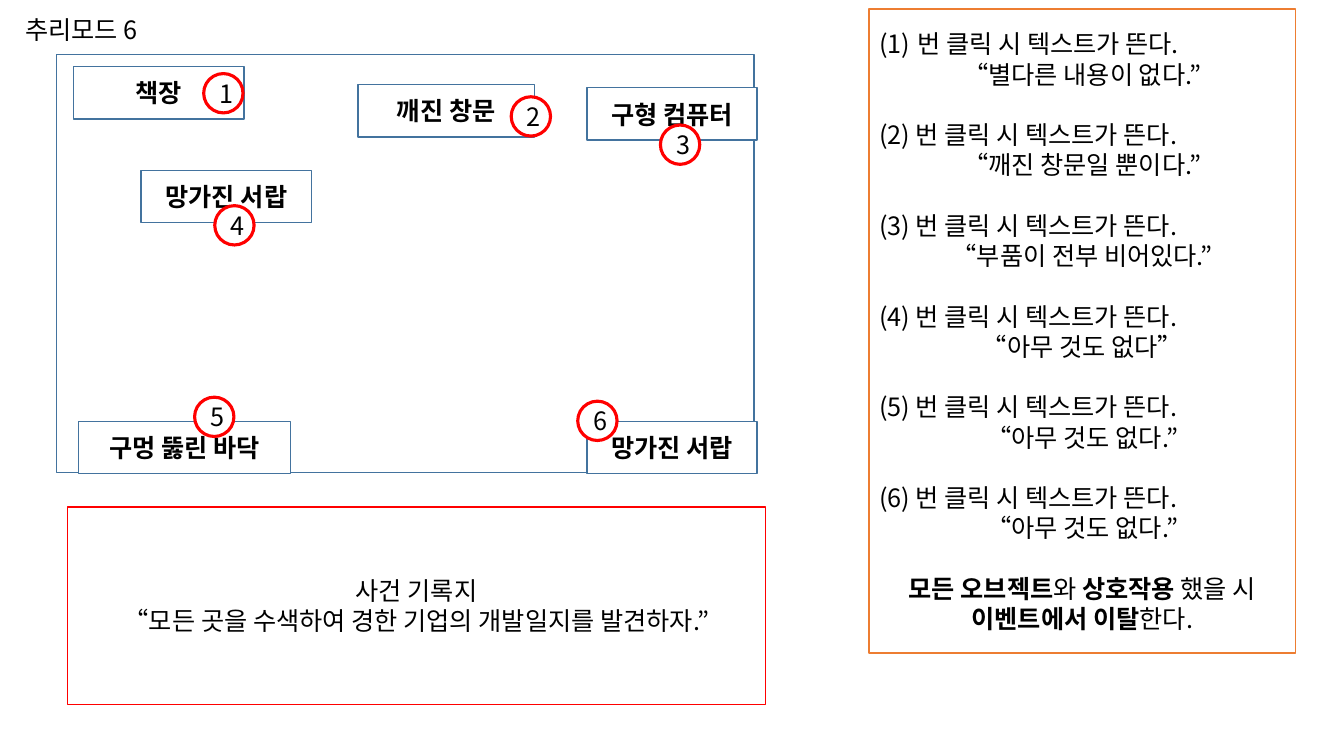
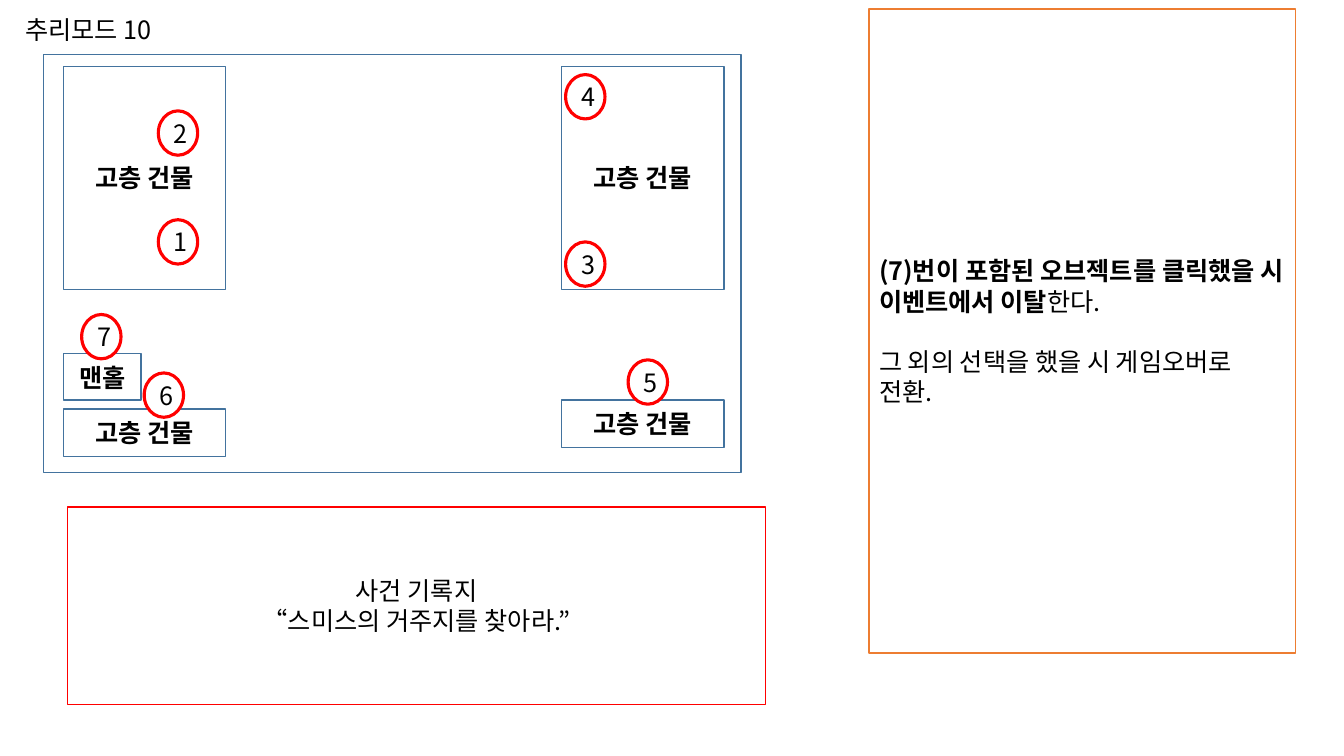
from lxml import etree
from pptx import Presentation
from pptx.dml.color import RGBColor
from pptx.enum.shapes import MSO_SHAPE
from pptx.enum.text import MSO_ANCHOR, MSO_AUTO_SIZE, PP_ALIGN
from pptx.oxml.ns import qn
from pptx.util import Pt

RECT, OVAL = MSO_SHAPE.RECTANGLE, MSO_SHAPE.OVAL
LEFT, CENTER = PP_ALIGN.LEFT, PP_ALIGN.CENTER
MIDDLE, NO_FIT = MSO_ANCHOR.MIDDLE, MSO_AUTO_SIZE.NONE
TITLE_ONLY = 5

PX = 9144  # EMU per px, 100 px to the inch
FONT, SIZE, LINE = "Noto Sans CJK KR", 18, 21.6
COLORS = {"paper": "FFFFFF", "ink": "000000", "object": "43739E",
          "panel": "ED7D31", "alert": "FF0000"}

# Places shared by the slides: left, top, width, height
TITLE_AT = (15, 9, 323, 40)
PANEL_AT = (862, 9, 423, 639)
RECORD_AT = (67, 503, 692, 196)
FRAME_TOP, FRAME_W, FRAME_H = 54, 692, 415
MARK_W = 39

# Paragraph: (runs, alignment, gap before, numbered); run: (text, bold)
REPLIES = ["“별다른 내용이 없다.”", "“깨진 창문일 뿐이다.”", "“부품이 전부 비어있다.”",
           "“아무 것도 없다”", "“아무 것도 없다.”", "“아무 것도 없다.”"]
CLICK = "번 클릭 시 텍스트가 뜬다."


def click_rules():
    paras = []
    for n, reply in enumerate(REPLIES, 1):
        first = n == 1
        text = CLICK if first else f"({n}) {CLICK}"
        paras += [([(text, False)], LEFT, not first, first),
                  ([(reply, False)], CENTER, False, False)]
    return paras


SLIDES = [
    {"title": "추리모드 6", "frame_left": 56, "mark_h": 39,
     "goal": "“모든 곳을 수색하여 경한 기업의 개발일지를 발견하자.”",
     "objects": [("깨진 창문", 355, 84, 175, 52), ("구멍 뚫린 바닥", 78, 418, 210, 52),
                 ("망가진 서랍", 582, 418, 169, 52), ("망가진 서랍", 140, 169, 169, 52),
                 ("구형 컴퓨터", 582, 87, 169, 52), ("책장", 73, 66, 169, 52)],
     "marks": [(202, 73), (507, 96), (655, 124), (213, 204), (193, 394), (573, 398)],
     "rules": click_rules() + [
         ([("모든 오브젝트", True), ("와 ", False), ("상호작용", True), (" 했을 시", False)],
          CENTER, True, False),
         ([("이벤트에서 이탈", True), ("한다.", False)], CENTER, False, False)]},
    {"title": "추리모드 10", "frame_left": 43, "mark_h": 44,
     "goal": "“스미스의 거주지를 찾아라.”",
     "objects": [("고층 건물", 557, 66, 161, 221), ("고층 건물", 63, 66, 161, 221),
                 ("고층 건물", 63, 406, 161, 47), ("고층 건물", 557, 397, 161, 47),
                 ("맨홀", 63, 351, 77, 46)],
     "marks": [(157, 218), (157, 110), (561, 240), (561, 74), (623, 357), (143, 370),
               (81, 312)],
     "rules": [
         ([("(7)번이 포함된 오브젝트를 클릭했을 시", True)], LEFT, False, False),
         ([("이벤트에서 이탈", True), ("한다.", False)], LEFT, False, False),
         ([("그 외의 선택을 했을 시 게임오버로", False)], LEFT, True, False),
         ([("전환.", False)], LEFT, False, False)]},
]


def color(name):
    return RGBColor.from_string(COLORS[name])


def number(p):
    """Give the paragraph an automatic (1) with a hanging indent."""
    pPr = p._p.get_or_add_pPr()
    pPr.set("marL", str(38 * PX))
    pPr.set("indent", str(-38 * PX))
    etree.SubElement(pPr, qn("a:buFont"), typeface=FONT)
    etree.SubElement(pPr, qn("a:buAutoNum"), type="arabicParenBoth")


def write(sp, paras):
    tf = sp.text_frame
    tf.word_wrap, tf.auto_size, tf.vertical_anchor = True, NO_FIT, MIDDLE
    for i, (runs, align, gap, numbered) in enumerate(paras):
        p = tf.add_paragraph() if i else tf.paragraphs[0]
        p.alignment = align
        p.line_spacing = Pt(LINE)
        p.space_before = Pt(LINE if gap else 0)
        if numbered:
            number(p)
        for text, bold in runs:
            r = p.add_run()
            r.text = text
            r.font.name, r.font.size, r.font.bold = FONT, Pt(SIZE), bold
            r.font.color.rgb = color("ink")
            etree.SubElement(r._r.get_or_add_rPr(), qn("a:ea"), typeface=FONT)


def centered(text, bold=False):
    return ([(text, bold)], CENTER, False, False)


def add_box(s, at, line, paras=(), shape=RECT, width=1):
    sp = s.shapes.add_shape(shape, *(v * PX for v in at))
    sp.shadow.inherit = False
    sp.fill.solid()
    sp.fill.fore_color.rgb = color("paper")
    sp.line.color.rgb = color(line)
    sp.line.width = Pt(width)
    write(sp, paras)


def add_title(s, text):
    sp = s.shapes.title
    sp.left, sp.top, sp.width, sp.height = (v * PX for v in TITLE_AT)
    write(sp, [([(text, False)], LEFT, False, False)])


def build(prs, data):
    s = prs.slides.add_slide(prs.slide_layouts[TITLE_ONLY])
    add_title(s, data["title"])
    # Scene frame, rules panel and case record
    add_box(s, (data["frame_left"], FRAME_TOP, FRAME_W, FRAME_H), "object")
    add_box(s, PANEL_AT, "panel", data["rules"])
    add_box(s, RECORD_AT, "alert", [centered("사건 기록지"), centered(data["goal"])])
    # Objects in the scene, then their numbered click marks
    for name, *at in data["objects"]:
        add_box(s, at, "object", [centered(name, True)])
    for n, (x, y) in enumerate(data["marks"], 1):
        add_box(s, (x, y, MARK_W, data["mark_h"]), "alert", [centered(str(n))], OVAL, 2.25)


def main():
    prs = Presentation()
    prs.slide_width, prs.slide_height = 1333 * PX, 750 * PX
    for data in SLIDES:
        build(prs, data)
    prs.save("out.pptx")


if __name__ == "__main__":
    main()
